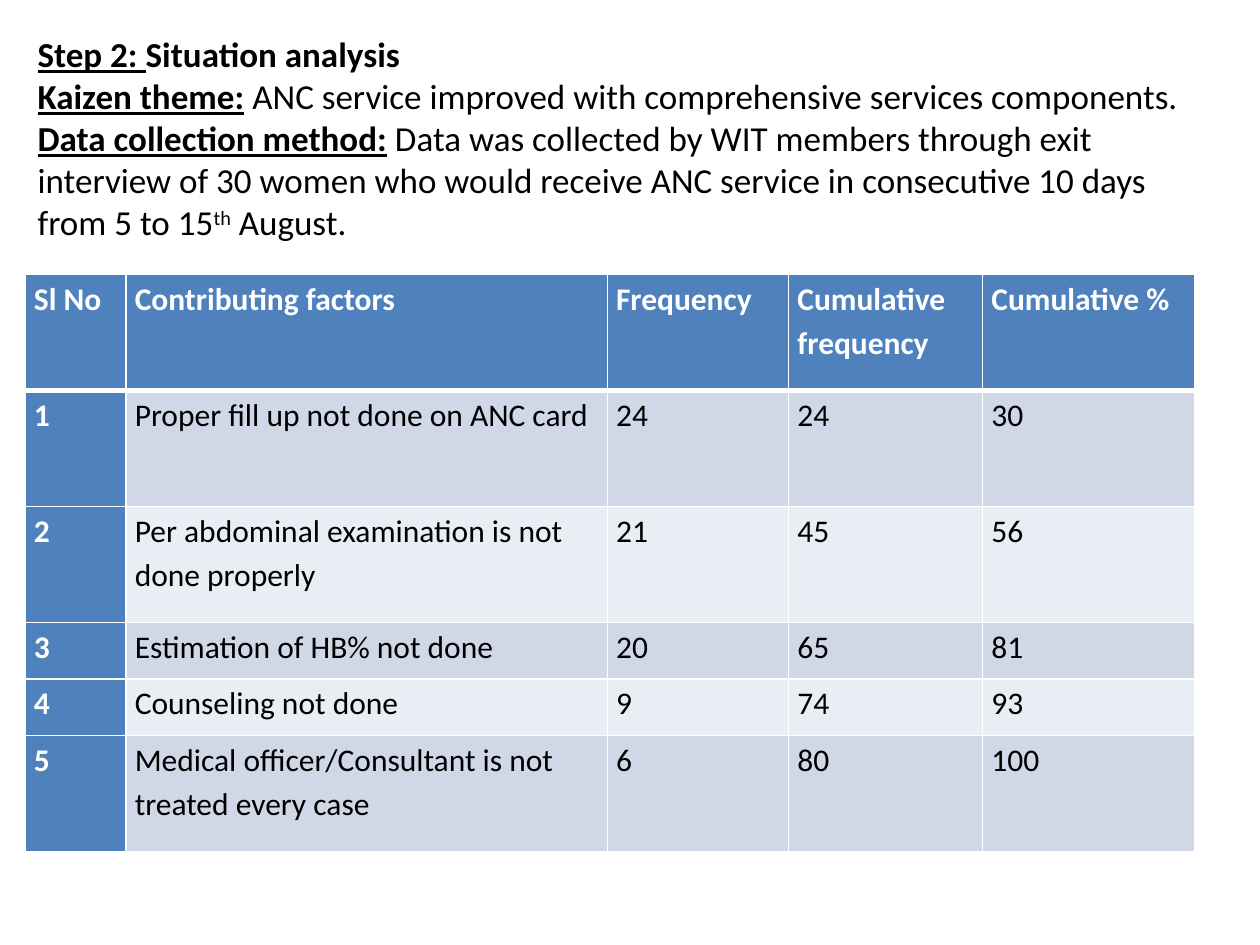
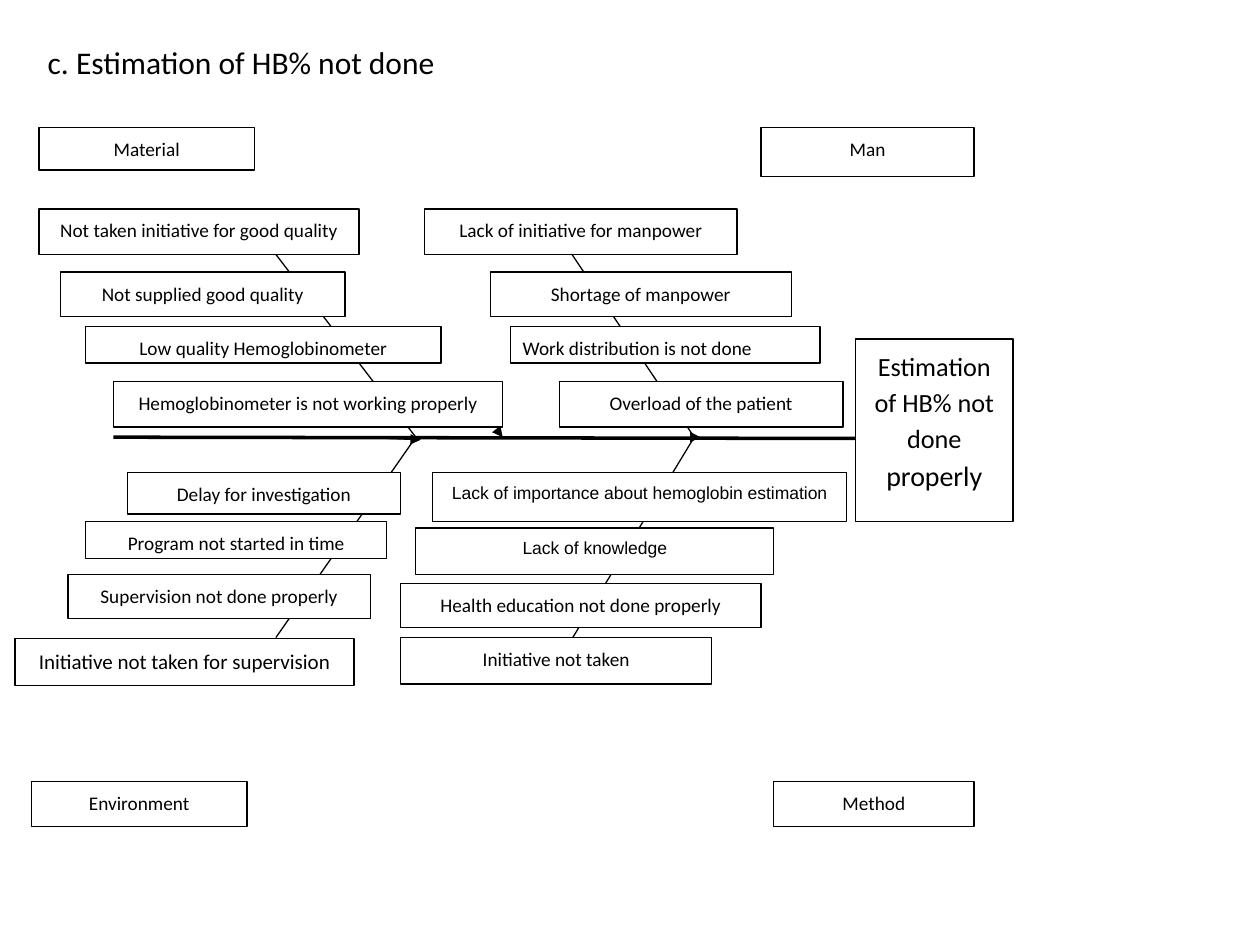
from dataclasses import dataclass

from lxml import etree
from pptx import Presentation
from pptx import util as u
from pptx.dml.color import RGBColor
from pptx.enum import shapes, text
from pptx.oxml.ns import qn


@dataclass(frozen=True)
class Theme:
    ink: str = "000000"
    paper: str = "FFFFFF"
    accent: str = "4F81BD"
    bands: tuple = ("D0D8E8", "E9EDF4")
    body_font: str = "Calibri"
    alt_font: str = "Arial"
    intro_size: int = 20
    heading_size: int = 18
    goal_size: int = 15
    goal_end_size: int = 16
    wide_size: int = 12
    label_size: int = 11
    alt_size: int = 10
    hairline: float = 0.75
    spine_line: float = 2
    cell_line: float = 1
    header_line: float = 3


T = Theme()
LABEL = {"size": T.label_size}
WIDE_LABEL = {"size": T.wide_size}
ALT_LABEL = {"size": T.alt_size, "name": T.alt_font}
LEAD = {"bold": True, "underline": True}

INTRO = [
    [("Step 2: ", LEAD), ("Situation analysis", {"bold": True})],
    [("Kaizen theme:", LEAD),
     (" ANC service improved with comprehensive services components.", {})],
    [("Data collection method:", LEAD),
     (" Data was collected by WIT members through exit interview of 30 women "
      "who would receive ANC service in consecutive 10 days from 5 to 15", {}),
     ("th", {"superscript": True}), (" August.", {})],
]

FACTORS = [
    ("Sl No", "Contributing factors", "Frequency", "Cumulative frequency", "Cumulative %"),
    ("1", "Proper fill up not done on ANC card", "24", "24", "30"),
    ("2", "Per abdominal examination is not done properly", "21", "45", "56"),
    ("3", "Estimation of HB% not done", "20", "65", "81"),
    ("4", "Counseling not done", "9", "74", "93"),
    ("5", "Medical officer/Consultant is not treated every case", "6", "80", "100"),
]
FACTOR_COLUMNS = (0.8, 3.82, 1.44, 1.54, 1.68)
FACTOR_ROWS = (0.92, 0.92, 0.92, 0.45, 0.45, 0.92)

# Category boxes, relative to the fishbone
CATEGORIES = [
    ("Material", (0.19, 0, 1.71, 0.34)),
    ("Man", (5.92, 0, 1.69, 0.39)),
    ("Environment", (0.13, 5.19, 1.71, 0.36)),
    ("Method", (6.02, 5.19, 1.59, 0.36)),
]
UPPER_ROWS = ((0, 0.36), (0.5, 0.35), (0.93, 0.29), (1.37, 0.36))

# Per branch: offset in the fishbone, rib ends, (top, height) of rows,
# and causes as (left, width, wording, text format)
BRANCHES = [
    ((0.19, 0.65), ((1.88, 0.36), (2.99, 1.81)), UPPER_ROWS, [
        (0, 2.54, "Not taken initiative for good quality", LABEL),
        (0.17, 2.26, "Not supplied good quality", LABEL),
        (0.37, 2.82, "Low quality Hemoglobinometer", LABEL),
        (0.59, 3.09, "Hemoglobinometer is not working properly", LABEL)]),
    ((3.25, 0.65), ((1.17, 0.36), (2.14, 1.81)), UPPER_ROWS, [
        (0, 2.48, "Lack of initiative for manpower", LABEL),
        (0.52, 2.39, "Shortage of manpower", LABEL),
        (0.68, 2.46, "Work distribution is not done", {**LABEL, "align": "LEFT"}),
        (1.07, 2.25, "Overload of the patient", LABEL)]),
    ((0, 2.74), ((2.07, 1.31), (3.18, -0.28)),
     ((0, 0.33), (0.39, 0.29), (0.81, 0.35), (1.32, 0.37)), [
        (0.89, 2.17, "Delay for investigation", LABEL),
        (0.56, 2.39, "Program not started in time", LABEL),
        (0.42, 2.4, "Supervision not done properly", LABEL),
        (0, 2.69, "Initiative not taken for supervision", WIDE_LABEL)]),
    ((3.06, 2.74), ((1.36, 1.32), (2.33, -0.28)),
     ((0, 0.39), (0.44, 0.37), (0.88, 0.35), (1.31, 0.37)), [
        (0.25, 3.29, "Lack of importance about hemoglobin estimation", ALT_LABEL),
        (0.12, 2.84, "Lack of knowledge", ALT_LABEL),
        (0, 2.86, "Health education not done properly", LABEL),
        (0, 2.47, "Initiative not taken", LABEL)]),
]
SPINE = ((0.78, 2.46), (6.7, 2.47))
SPINE_ARROWS = [
    ((2.95, 2.47), (3.22, 2.48)),
    ((3.83, 2.41), (3.87, 2.46)),
    ((5.16, 2.46), (5.44, 2.46)),
]
GOAL_BOX = (6.67, 1.68, 1.25, 1.45)


def inches(values):
    return [u.Inches(value) for value in values]


def shift(origin, point):
    return origin[0] + point[0], origin[1] + point[1]


def write(paragraph, runs, size, color=T.ink, **shared):
    """Add (wording, format) runs; a run's format overrides the shared one."""
    for wording, own in runs:
        run = paragraph.add_run()
        run.text = wording
        look = {"name": T.body_font, "size": size, "bold": False, **shared, **own}
        look["size"] = u.Pt(look["size"])
        if look.pop("superscript", False):
            run._r.get_or_add_rPr().set("baseline", "30000")
        for key, value in look.items():
            setattr(run.font, key, value)
        run.font.color.rgb = RGBColor.from_string(color)


def add_text(slide, box, paragraphs, size):
    frame = slide.shapes.add_textbox(*inches(box)).text_frame
    frame.word_wrap = True
    for number, runs in enumerate(paragraphs):
        paragraph = frame.add_paragraph() if number else frame.paragraphs[0]
        write(paragraph, runs, size)


def add_label(slide, box, runs, size, align="CENTER", **shared):
    label = slide.shapes.add_shape(shapes.MSO_SHAPE.RECTANGLE, *inches(box))
    label.shadow.inherit = False
    label.fill.solid()
    label.fill.fore_color.rgb = RGBColor.from_string(T.paper)
    label.line.color.rgb = RGBColor.from_string(T.ink)
    label.line.width = u.Pt(T.hairline)
    frame = label.text_frame
    frame.word_wrap = True
    frame.vertical_anchor = text.MSO_ANCHOR.TOP
    paragraph = frame.paragraphs[0]
    layout = {"alignment": text.PP_ALIGN[align], "line_spacing": 1.15,
              "space_after": u.Pt(10)}
    for key, value in layout.items():
        setattr(paragraph, key, value)
    write(paragraph, runs, size, **shared)


def add_line(slide, start, end, width=T.hairline, arrow=False):
    line = slide.shapes.add_connector(
        shapes.MSO_CONNECTOR.STRAIGHT, *inches(start + end))
    line.line.color.rgb = RGBColor.from_string(T.ink)
    line.line.width = u.Pt(width)
    if arrow:
        etree.SubElement(line.line._get_or_add_ln(), qn("a:tailEnd"), type="triangle")
    etree.SubElement(line._element.spPr, qn("a:effectLst"))


def set_borders(cell, **widths):
    """Draw cell sides; widths are points by side letter L, R, T, B."""
    properties = cell._tc.get_or_add_tcPr()
    for side, width in widths.items():
        edge = etree.SubElement(properties, qn(f"a:ln{side}"), w=str(u.Pt(width)))
        fill = etree.SubElement(edge, qn("a:solidFill"))
        etree.SubElement(fill, qn("a:srgbClr"), val=T.paper)


def fill_cell(cell, wording, row, column):
    heading = row == 0 or column == 0
    margins = {"margin_left": 0.07, "margin_right": 0.07,
               "margin_top": 0, "margin_bottom": 0}
    for key, value in margins.items():
        setattr(cell, key, u.Inches(value))
    set_borders(cell, L=T.cell_line, R=T.cell_line,
                T=T.header_line if row == 1 else T.cell_line,
                B=T.header_line if row == 0 else T.cell_line)
    cell.fill.solid()
    cell.fill.fore_color.rgb = RGBColor.from_string(
        T.accent if heading else T.bands[(row - 1) % 2])
    paragraph = cell.text_frame.paragraphs[0]
    paragraph.line_spacing = 1.15
    write(paragraph, [(wording, {})], T.heading_size,
          T.paper if heading else T.ink, bold=heading)


def factor_table(slide, left, top):
    box = (left, top, sum(FACTOR_COLUMNS), sum(FACTOR_ROWS))
    table = slide.shapes.add_table(
        len(FACTOR_ROWS), len(FACTOR_COLUMNS), *inches(box)).table
    for column, width in zip(table.columns, inches(FACTOR_COLUMNS)):
        column.width = width
    for row, height in zip(table.rows, inches(FACTOR_ROWS)):
        row.height = height
    for row, factor in enumerate(FACTORS):
        for column, wording in enumerate(factor):
            fill_cell(table.cell(row, column), wording, row, column)


def branch(slide, origin, rib, rows, causes):
    add_line(slide, *(shift(origin, end) for end in rib))
    for (top, height), (left, width, wording, look) in zip(rows, causes):
        add_label(slide, (*shift(origin, (left, top)), width, height),
                  [(wording, {})], **look)


def fishbone(slide, left, top):
    origin = (left, top)
    add_line(slide, *(shift(origin, end) for end in SPINE), width=T.spine_line)
    for arrow in SPINE_ARROWS:
        add_line(slide, *(shift(origin, end) for end in arrow), arrow=True)
    for offset, rib, rows, causes in BRANCHES:
        branch(slide, shift(origin, offset), rib, rows, causes)
    for category, box in CATEGORIES:
        add_label(slide, shift(origin, box) + box[2:], [(category, {})], **LABEL)
    goal = [("Estimation of HB% not done ", {}), ("properly", {"size": T.goal_end_size})]
    add_label(slide, shift(origin, GOAL_BOX) + GOAL_BOX[2:], goal, T.goal_size)


def situation_slide(slide):
    add_text(slide, (0.2, 0.21, 9.45, 1.78), INTRO, T.intro_size)
    factor_table(slide, 0.2, 2.18)


def cause_slide(slide):
    add_text(slide, (0.28, 0.29, 5.59, 0.4),
             [[("c. Estimation of HB% not done", {})]], T.heading_size)
    fishbone(slide, 0.12, 1.01)


def main():
    deck = Presentation()
    deck.slide_width, deck.slide_height = inches((10, 7.5))
    for build in (situation_slide, cause_slide):
        build(deck.slides.add_slide(deck.slide_layouts[6]))
    deck.save("out.pptx")


if __name__ == "__main__":
    main()
